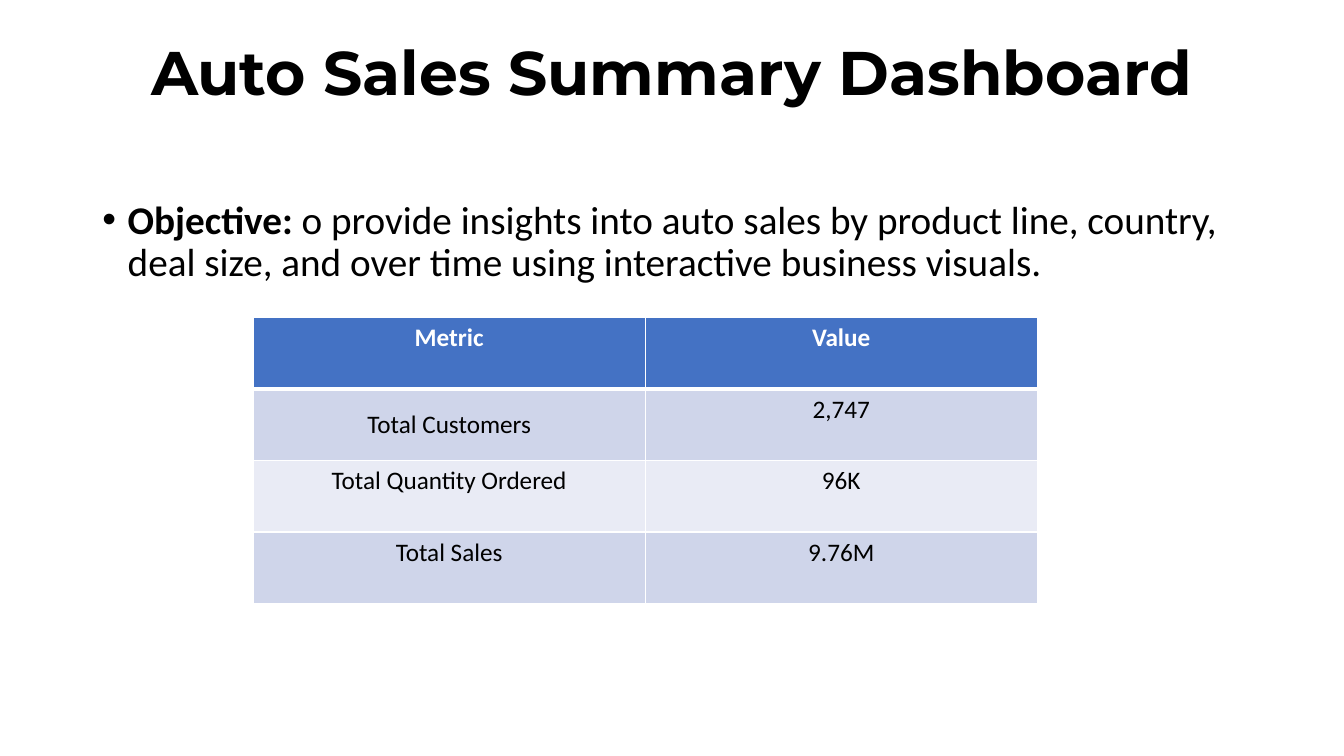
from dataclasses import dataclass

from lxml import etree
from pptx import Presentation
from pptx import util as u
from pptx.dml.color import RGBColor
from pptx.enum import text as t
from pptx.oxml import ns


@dataclass(frozen=True)
class Theme:
    black: str = "000000"
    white: str = "FFFFFF"
    head: str = "4472C4"
    bands: tuple[str, str] = ("CFD5EA", "E9EBF5")
    font: str = "Calibri"
    display: str = "Montserrat"
    title: int = 44
    body: int = 28
    cell: int = 18


@dataclass(frozen=True)
class Run:
    text: str
    size: int
    bold: bool = False
    color: str = Theme.black
    font: str = Theme.font


@dataclass(frozen=True)
class Box:
    left: float
    top: float
    width: float
    height: float

    def emu(self) -> tuple[u.Cm, ...]:
        return tuple(u.Cm(n) for n in (self.left, self.top, self.width, self.height))


THEME = Theme()
TITLE = Box(2.33, 0.58, 29.21, 2.67)
BODY = Box(2.33, 4.93, 29.21, 12.22)
GRID = Box(6.38, 8, 19.76, 7.21)
ROWS = (
    ("Metric", "Value"),
    ("Total Customers", "2,747"),
    ("Total Quantity Ordered", "96K"),
    ("Total Sales", "9.76M"),
)


def write(para, *runs: Run) -> None:
    for item in runs:
        run = para.add_run()
        run.text = item.text
        run.font.name = item.font
        run.font.size = u.Pt(item.size)
        run.font.bold = item.bold
        run.font.color.rgb = RGBColor.from_string(item.color)


def add_text(slide, box: Box, anchor: t.MSO_ANCHOR, *runs: Run):
    frame = slide.shapes.add_textbox(*box.emu()).text_frame
    frame.word_wrap = True
    frame.auto_size = t.MSO_AUTO_SIZE.NONE
    frame.vertical_anchor = anchor
    para = frame.paragraphs[0]
    para.line_spacing = 0.9
    write(para, *runs)
    return para


def add_bullet(para) -> None:
    props = para._p.get_or_add_pPr()
    props.set("marL", str(u.Cm(0.64)))
    props.set("indent", str(u.Cm(-0.64)))
    etree.SubElement(props, ns.qn("a:buFont"), typeface="Arial")
    etree.SubElement(props, ns.qn("a:buChar"), char="•")


def add_edge(cell, side: str, width: int) -> None:
    props = cell._tc.get_or_add_tcPr()
    line = etree.SubElement(props, ns.qn(f"a:ln{side}"), w=str(u.Pt(width)))
    fill = etree.SubElement(line, ns.qn("a:solidFill"))
    etree.SubElement(fill, ns.qn("a:srgbClr"), val=THEME.white)


def style_cell(cell, row: int, label: str) -> None:
    head = row == 0
    # Edges come before the fill in the cell's XML.
    for side in "LRTB":
        thick = (row, side) in ((0, "B"), (1, "T"))
        add_edge(cell, side, 3 if thick else 1)
    cell.fill.solid()
    shade = THEME.head if head else THEME.bands[(row - 1) % 2]
    cell.fill.fore_color.rgb = RGBColor.from_string(shade)
    para = cell.text_frame.paragraphs[0]
    para.alignment = t.PP_ALIGN.CENTER
    write(para, Run(label, THEME.cell, head, THEME.white if head else THEME.black))


def add_grid(slide) -> None:
    table = slide.shapes.add_table(len(ROWS), len(ROWS[0]), *GRID.emu()).table
    for row, labels in enumerate(ROWS):
        for col, label in enumerate(labels):
            style_cell(table.cell(row, col), row, label)
    table.cell(1, 0).vertical_anchor = t.MSO_ANCHOR.MIDDLE


def main() -> None:
    deck = Presentation()
    deck.slide_width, deck.slide_height = u.Cm(33.87), u.Cm(19.05)
    slide = deck.slides.add_slide(deck.slide_layouts[6])
    title = add_text(
        slide, TITLE, t.MSO_ANCHOR.MIDDLE,
        Run("Auto Sales Summary Dashboard", THEME.title, True, font=THEME.display),
    )
    title.alignment = t.PP_ALIGN.CENTER
    goal = add_text(
        slide, BODY, t.MSO_ANCHOR.TOP,
        Run("Objective:", THEME.body, True),
        Run(" o provide insights into auto sales by product line, country, "
            "deal size, and over time using interactive business visuals.", THEME.body),
    )
    goal.space_before = u.Pt(10)
    add_bullet(goal)
    add_grid(slide)
    deck.save("out.pptx")


if __name__ == "__main__":
    main()
